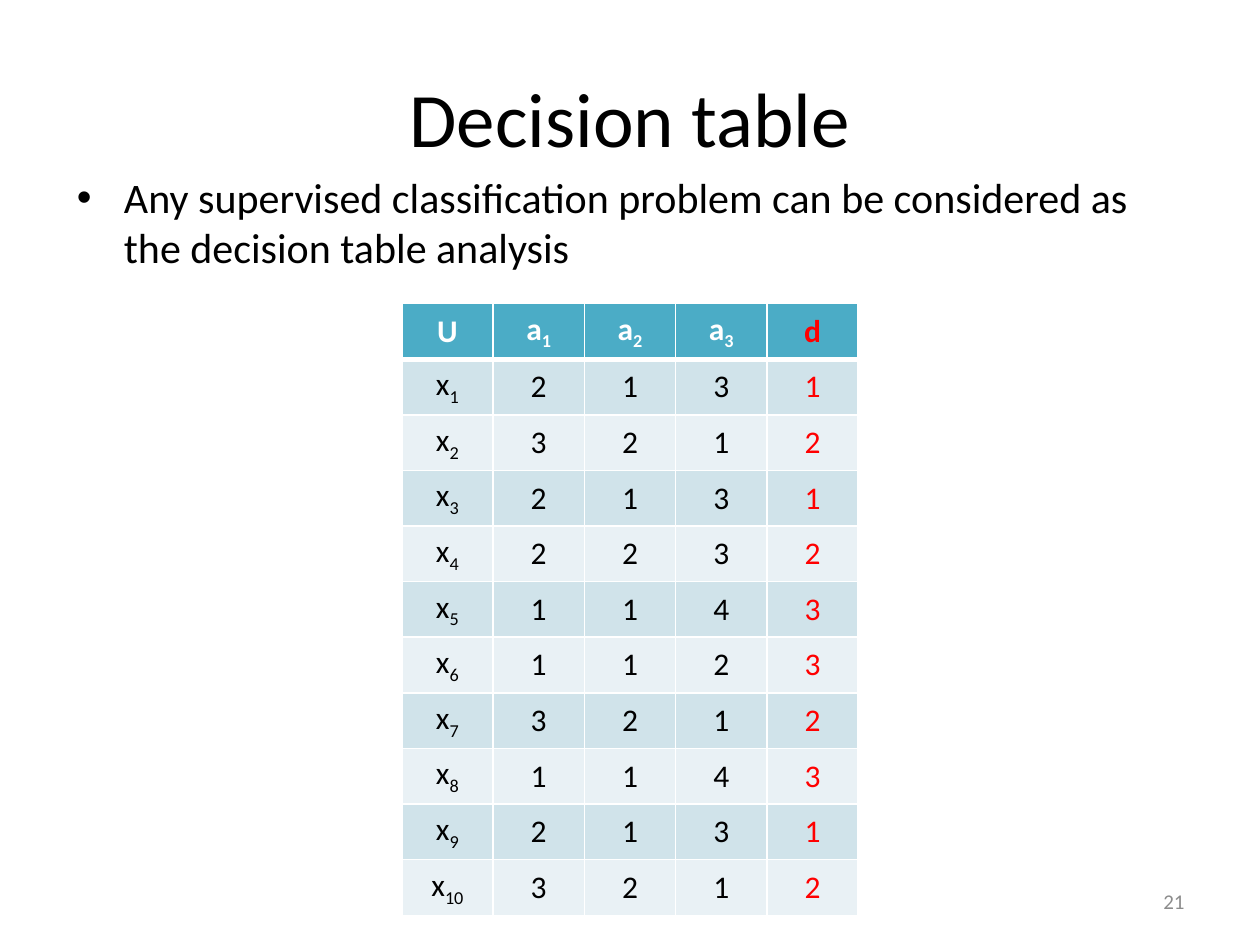
from dataclasses import dataclass

from lxml.etree import SubElement
from pptx import Presentation
from pptx.dml.color import RGBColor as RGB
from pptx.enum.text import MSO_ANCHOR as Anchor, PP_ALIGN as Align
from pptx.oxml.ns import qn
from pptx.util import Cm, Pt


@dataclass(frozen=True)
class Theme:
    font: str = "Calibri"
    title: int = 44
    body: int = 24
    cell: int = 18
    number: int = 12
    text: str = "000000"
    light: str = "FFFFFF"
    decision: str = "FF0000"
    muted: str = "8C8C8C"
    header: str = "4BACC6"
    bands: tuple = ("D0E3EA", "E9F1F5")


THEME = Theme()
HEADERS = ["U", "a_1", "a_2", "a_3", "d"]
# Attribute values a1, a2, a3 and decision d of each object
OBJECTS = ["2131", "3212", "2131", "2232", "1143",
           "1123", "3212", "1143", "2131", "3212"]


def style(r, size, color, bold=False):
    r.font.name = THEME.font
    r.font.size = Pt(size)
    r.font.bold = bold
    r.font.color.rgb = RGB.from_string(color)


def add_text(s, box, text, size, color, align, anchor):
    tf = s.shapes.add_textbox(*map(Cm, box)).text_frame
    tf.word_wrap = True
    tf.vertical_anchor = anchor
    tf.text = text
    p = tf.paragraphs[0]
    p.alignment = align
    style(p.runs[0], size, color)
    return p


def add_title(s, box, text):
    add_text(s, box, text, THEME.title, THEME.text, Align.CENTER, Anchor.MIDDLE)


def add_bullet(s, box, text):
    p = add_text(s, box, text, THEME.body, THEME.text, Align.LEFT, Anchor.TOP)
    pPr = p._p.get_or_add_pPr()
    indent = Cm(0.95)
    pPr.set("marL", str(indent))
    pPr.set("indent", str(-indent))
    SubElement(pPr, qn("a:buFont"), typeface="Arial")
    SubElement(pPr, qn("a:buChar"), char="•")


def add_number(s, box, text):
    add_text(s, box, text, THEME.number, THEME.muted, Align.RIGHT, Anchor.MIDDLE)


def set_borders(cell, top, bottom):
    tcPr = cell._tc.get_or_add_tcPr()
    for side, width in (("L", 1), ("R", 1), ("T", top), ("B", bottom)):
        ln = SubElement(tcPr, qn(f"a:ln{side}"), w=str(Pt(width)))
        fill = SubElement(ln, qn("a:solidFill"))
        SubElement(fill, qn("a:srgbClr"), val=THEME.light)


def fill_cell(cell, text, fill, color, bold):
    cell.fill.solid()
    cell.fill.fore_color.rgb = RGB.from_string(fill)
    cell.vertical_anchor = Anchor.MIDDLE
    base, _, index = text.partition("_")
    cell.text = base
    p = cell.text_frame.paragraphs[0]
    p.alignment = Align.CENTER
    if index:
        r = p.add_run()
        r.text = index
        r._r.get_or_add_rPr().set("baseline", "-25000")
    for r in p.runs:
        style(r, THEME.cell, color, bold)


def add_decision_table(s, box, header_height):
    rows = [HEADERS] + [[f"x_{n}", *values] for n, values in enumerate(OBJECTS, 1)]
    left, top, width, height = box
    table = s.shapes.add_table(len(rows), len(HEADERS), *map(Cm, box)).table
    for col in table.columns:
        col.width = Cm(width / len(HEADERS))
    for i, row in enumerate(rows):
        is_header = i == 0
        table.rows[i].height = Cm(
            header_height if is_header else (height - header_height) / len(OBJECTS))
        fill = THEME.header if is_header else THEME.bands[(i - 1) % 2]
        for j, text in enumerate(row):
            color = THEME.light if is_header else THEME.text
            if HEADERS[j] == "d":
                color = THEME.decision
            cell = table.cell(i, j)
            set_borders(cell, top=3 if i == 1 else 1, bottom=3 if is_header else 1)
            fill_cell(cell, text, fill, color, is_header)


def main():
    prs = Presentation()
    prs.slide_width, prs.slide_height = Cm(25.4), Cm(19.05)
    s = prs.slides.add_slide(prs.slide_layouts[6])
    add_title(s, (1.27, 0.76, 22.86, 3.18), "Decision table")
    add_bullet(s, (1.3, 3.33, 22.86, 3.4),
               "Any supervised classification problem can be considered as "
               "the decision table analysis")
    add_decision_table(s, (8.1, 6.12, 9.2, 11.05), header_height=0.64)
    add_number(s, (18.2, 17.66, 5.93, 1.01), "21")
    prs.save("out.pptx")


if __name__ == "__main__":
    main()
